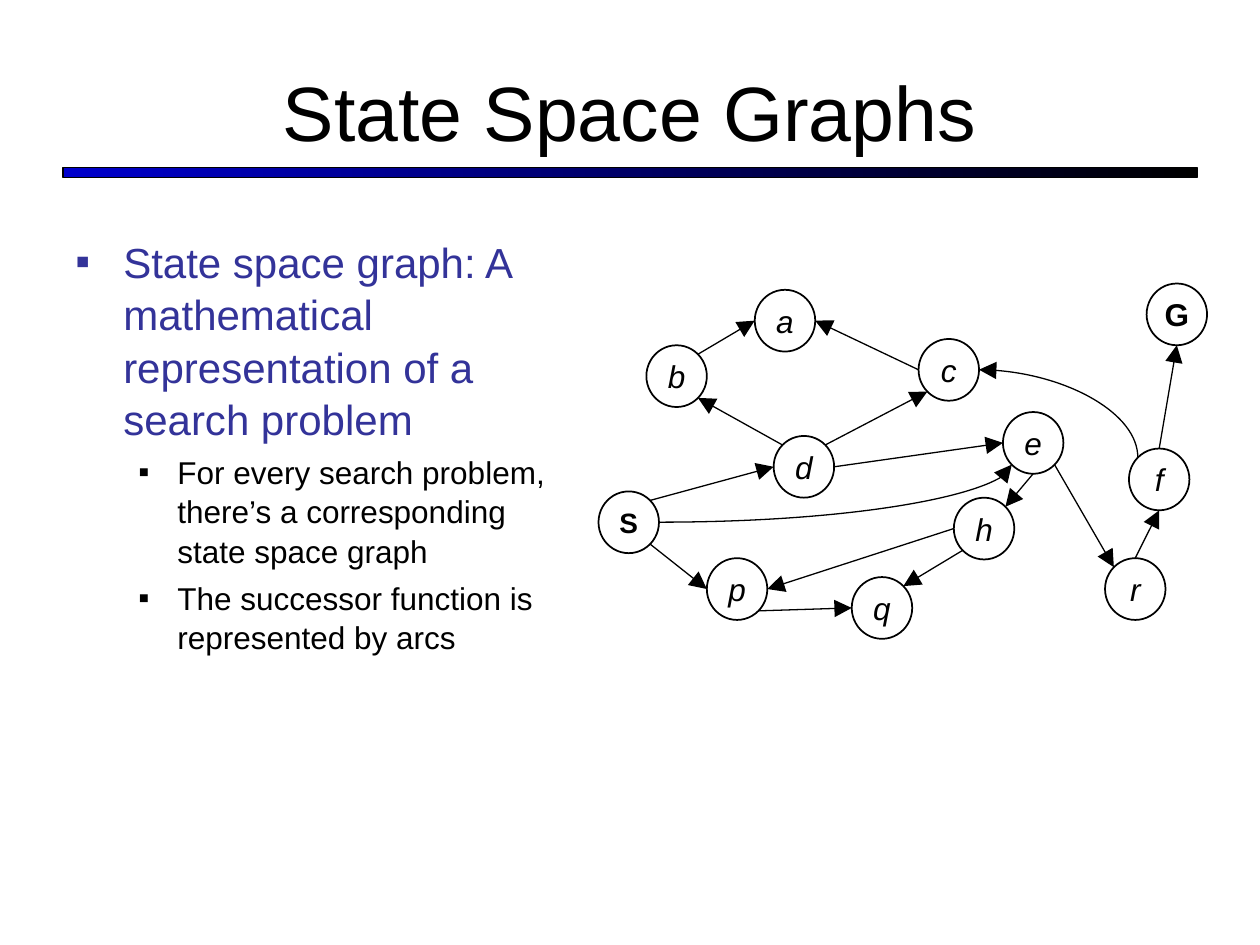
import math

import pptx
import pptx.dml.color
import pptx.enum.dml
import pptx.enum.shapes
import pptx.enum.text
import pptx.oxml.ns
import pptx.util
from lxml import etree

Inches = pptx.util.Inches
Pt = pptx.util.Pt
RGBColor = pptx.dml.color.RGBColor
MSO_SHAPE = pptx.enum.shapes.MSO_SHAPE
MSO_CONNECTOR = pptx.enum.shapes.MSO_CONNECTOR
PP_ALIGN = pptx.enum.text.PP_ALIGN
MSO_ANCHOR = pptx.enum.text.MSO_ANCHOR
qn = pptx.oxml.ns.qn

BLACK = RGBColor(0x00, 0x00, 0x00)
BAR_BLUE = RGBColor(0x00, 0x00, 0xCC)
TEXT_BLUE = RGBColor(0x33, 0x33, 0x99)

WIDTH, HEIGHT = 10, 7.5
MARGIN = WIDTH * 0.05
CONTENT_WIDTH = WIDTH - 2 * MARGIN
NODE_WIDTH, NODE_HEIGHT = 0.48, 0.49

# State name: left and top of its circle
NODES = {
    "S": (4.75, 3.9), "G": (9.1, 2.25), "d": (6.14, 3.46), "b": (5.13, 2.74),
    "p": (5.61, 4.43), "q": (6.76, 4.58), "c": (7.29, 2.69), "e": (7.96, 3.27),
    "h": (7.57, 3.95), "a": (5.99, 2.3), "f": (8.96, 3.56), "r": (8.77, 4.43),
}
# Compass points on a circle, in degrees clockwise from east
SITES = {"E": 0, "SE": 45, "S": 90, "SW": 135, "W": 180, "NW": 225, "N": 270, "NE": 315}
# Start state, its site, end state, its site
ARCS = [
    ("S", "SE", "p", "W"), ("p", "SE", "q", "W"), ("h", "SW", "q", "NE"),
    ("h", "W", "p", "E"), ("e", "S", "h", "NE"), ("e", "SE", "r", "NW"),
    ("r", "N", "f", "S"), ("f", "N", "G", "S"), ("S", "NE", "d", "W"),
    ("d", "NW", "b", "SE"), ("b", "NE", "a", "W"), ("c", "W", "a", "E"),
    ("d", "NE", "c", "SW"), ("d", "E", "e", "W"),
]
BULLETS = [
    (0, "State space graph: A mathematical representation of a search problem"),
    (1, "For every search problem, there’s a corresponding state space graph"),
    (1, "The successor function is represented by arcs"),
]
# Per level: text indent, hanging indent, space before, size, colour
LEVELS = [(0.38, 0.38, 6, 24, TEXT_BLUE), (0.81, 0.31, 4.5, 18, BLACK)]


def write(paragraph, text, size=18, color=BLACK, bold=False, italic=False,
          align=PP_ALIGN.CENTER):
    paragraph.alignment = align
    run = paragraph.add_run()
    run.text = text
    font = run.font
    font.name, font.size = "Arial", Pt(size)
    font.bold, font.italic = bold, italic
    font.color.rgb = color


def add_title(slide, text):
    title = slide.shapes.title
    title.left, title.top = Inches(MARGIN), Inches(0.25)
    title.width, title.height = Inches(CONTENT_WIDTH), Inches(1.25)
    title.text_frame.vertical_anchor = MSO_ANCHOR.MIDDLE
    write(title.text_frame.paragraphs[0], text, size=44)


def add_title_bar(slide):
    bar = slide.shapes.add_shape(MSO_SHAPE.RECTANGLE, Inches(MARGIN), Inches(1.33),
                                 Inches(CONTENT_WIDTH), Inches(0.08))
    bar.shadow.inherit = False
    bar.fill.gradient()
    bar.fill.gradient_angle = 0
    for stop, color in zip(bar.fill.gradient_stops, (BAR_BLUE, BLACK)):
        stop.color.rgb = color
    bar.line.color.rgb = BLACK
    bar.line.width = Pt(0.75)


def set_bullet(paragraph, indent, hanging, color):
    properties = paragraph._p.get_or_add_pPr()
    properties.set("marL", str(Inches(indent)))
    properties.set("indent", str(-Inches(hanging)))
    bullet_color = etree.SubElement(properties, qn("a:buClr"))
    etree.SubElement(bullet_color, qn("a:srgbClr"), val=str(color))
    etree.SubElement(properties, qn("a:buFont"), typeface="Arial")
    etree.SubElement(properties, qn("a:buChar"), char="▪")


def add_bullets(slide):
    box = slide.shapes.add_textbox(Inches(MARGIN), Inches(1.81), Inches(4.08), Inches(5.48))
    frame = box.text_frame
    frame.word_wrap = True
    for index, (level, text) in enumerate(BULLETS):
        paragraph = frame.add_paragraph() if index else frame.paragraphs[0]
        indent, hanging, space, size, color = LEVELS[level]
        paragraph.level = level
        set_bullet(paragraph, indent, hanging, color)
        paragraph.line_spacing = 1.04
        if index:
            paragraph.space_before = Pt(space)
        write(paragraph, text, size=size, color=color, align=PP_ALIGN.LEFT)


def add_node(slide, name, left, top):
    node = slide.shapes.add_shape(MSO_SHAPE.FLOWCHART_CONNECTOR, Inches(left), Inches(top),
                                  Inches(NODE_WIDTH), Inches(NODE_HEIGHT))
    node.shadow.inherit = False
    node.fill.background()
    node.line.color.rgb = BLACK
    node.line.width = Pt(1)
    frame = node.text_frame
    frame.word_wrap = False
    frame.vertical_anchor = MSO_ANCHOR.MIDDLE
    is_end_state = name.isupper()
    write(frame.paragraphs[0], name, size=16 if name == "S" else 18,
          bold=is_end_state, italic=not is_end_state)


def site_point(name, site):
    left, top = NODES[name]
    angle = math.radians(SITES[site])
    return (left + NODE_WIDTH / 2 * (1 + math.cos(angle)),
            top + NODE_HEIGHT / 2 * (1 + math.sin(angle)))


def add_arc(slide, start, end, kind=MSO_CONNECTOR.STRAIGHT):
    arc = slide.shapes.add_connector(kind, *(Inches(value) for value in (*start, *end)))
    arc.line.color.rgb = BLACK
    arc.line.width = Pt(0.75)
    etree.SubElement(arc.line._get_or_add_ln(), qn("a:tailEnd"),
                     type="triangle", w="lg", len="lg")
    etree.SubElement(arc._element.spPr, qn("a:effectLst"))
    return arc


def add_curved_arc(slide, start, end, leaves_upward=False):
    """Quarter bend; one that leaves upward is laid out sideways and turned by 270°."""
    if leaves_upward:
        center_x, center_y = (start[0] + end[0]) / 2, (start[1] + end[1]) / 2
        half_width, half_height = abs(start[1] - end[1]) / 2, abs(start[0] - end[0]) / 2
        start = (center_x - half_width, center_y + half_height)
        end = (center_x + half_width, center_y - half_height)
    arc = add_arc(slide, start, end, MSO_CONNECTOR.CURVE)
    properties = arc._element.spPr
    properties.find(qn("a:prstGeom")).set("prst", "curvedConnector2")
    if leaves_upward:
        properties.find(qn("a:xfrm")).set("rot", str(270 * 60000))


def main():
    presentation = pptx.Presentation()
    presentation.slide_width, presentation.slide_height = Inches(WIDTH), Inches(HEIGHT)
    slide = presentation.slides.add_slide(presentation.slide_layouts[5])

    # Heading and text column
    add_title_bar(slide)
    add_title(slide, "State Space Graphs")
    add_bullets(slide)

    # Graph: states, then the arcs between them
    for name, (left, top) in NODES.items():
        add_node(slide, name, left, top)
    for start, start_site, end, end_site in ARCS:
        add_arc(slide, site_point(start, start_site), site_point(end, end_site))
    add_curved_arc(slide, site_point("f", "NW"), site_point("c", "E"), leaves_upward=True)
    add_curved_arc(slide, site_point("S", "E"), site_point("e", "SW"))

    presentation.save("out.pptx")


if __name__ == "__main__":
    main()
